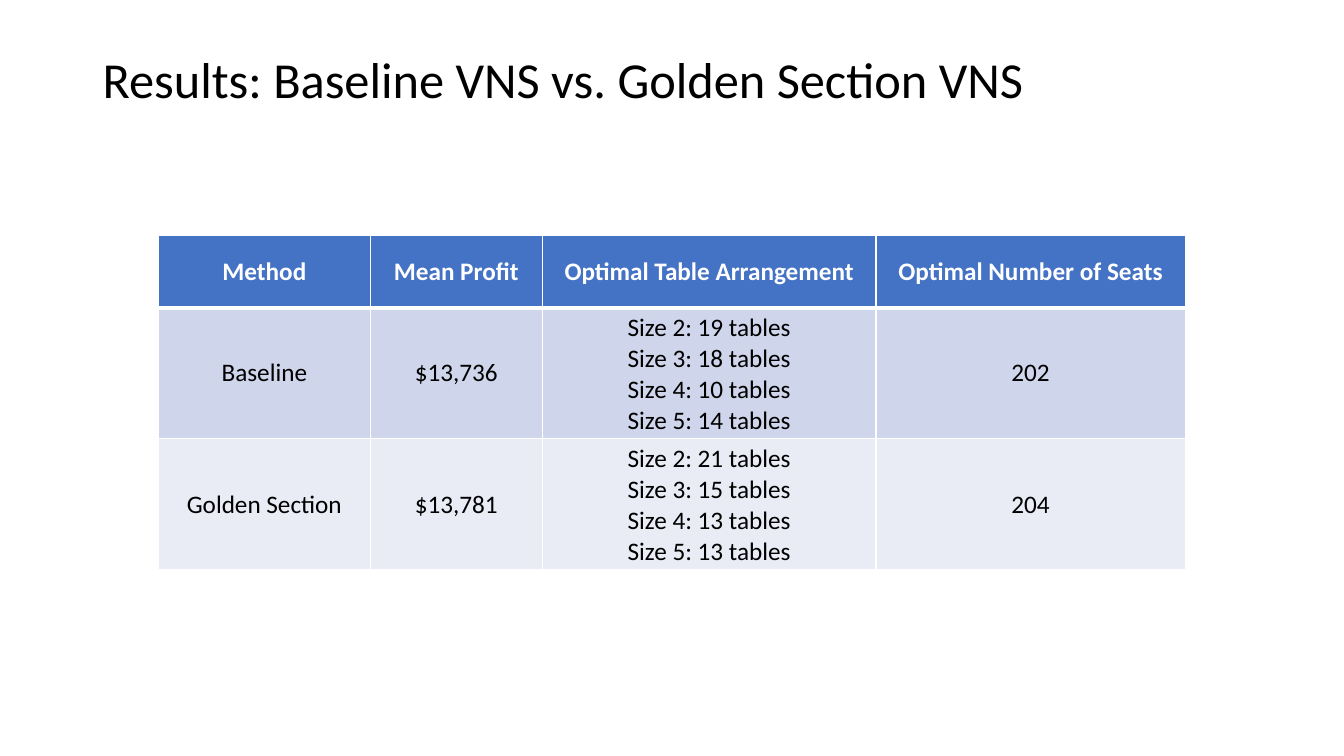
from lxml import etree
from pptx import Presentation
from pptx.dml.color import RGBColor
from pptx.enum.text import MSO_ANCHOR, PP_ALIGN
from pptx.oxml.ns import qn
from pptx.util import Inches, Pt

MIDDLE = MSO_ANCHOR.MIDDLE
CENTER = PP_ALIGN.CENTER
SLIDE_WIDTH, SLIDE_HEIGHT = Inches(13.33), Inches(7.5)
FONT = "Calibri"
BLACK, WHITE, HEADER_BLUE = "000000", "FFFFFF", "4472C4"
BAND_FILLS = ("CFD5EA", "E9EBF5")
COLUMN_WEIGHTS = (2.1, 1.71, 3.31, 3.07)
ROW_WEIGHTS = (0.72, 1.3, 1.3)

RESULTS = (
    ("Method", "Mean Profit", "Optimal Table Arrangement", "Optimal Number of Seats"),
    ("Baseline", "$13,736", (19, 18, 10, 14), "202"),
    ("Golden Section", "$13,781", (21, 15, 13, 13), "204"),
)


def color(hex_code):
    """Turn a hex string into a colour."""
    return RGBColor.from_string(hex_code)


def box_from_shares(left, top, width, height):
    """Turn shares of the slide's size into a box."""
    return (int(left * SLIDE_WIDTH), int(top * SLIDE_HEIGHT),
            int(width * SLIDE_WIDTH), int(height * SLIDE_HEIGHT))


def add_run(paragraph, text, size, hex_code, bold=False):
    """Add one formatted run to a paragraph."""
    run = paragraph.add_run()
    run.text = text
    run.font.name = FONT
    run.font.size = Pt(size)
    run.font.bold = bold
    run.font.color.rgb = color(hex_code)


def add_border(cell, side, width):
    """Draw a white border on one side of a cell."""
    line = etree.SubElement(cell._tc.get_or_add_tcPr(), qn(f"a:ln{side}"), w=str(Pt(width)))
    fill = etree.SubElement(line, qn("a:solidFill"))
    etree.SubElement(fill, qn("a:srgbClr"), val=WHITE)


def fill_cell(cell, content, row):
    """Write, fill and border one cell of the results table."""
    header = row == 0
    lines = [content] if isinstance(content, str) else [
        f"Size {size}: {count} tables" for size, count in enumerate(content, 2)]
    for index, text in enumerate(lines):
        frame = cell.text_frame
        paragraph = frame.add_paragraph() if index else frame.paragraphs[0]
        paragraph.alignment = CENTER
        add_run(paragraph, text, 18, WHITE if header else BLACK, header)
    cell.vertical_anchor = MIDDLE
    widths = {"L": 1, "R": 1, "T": 3 if row == 1 else 1, "B": 3 if header else 1}
    for side, width in widths.items():
        add_border(cell, side, width)
    cell.fill.solid()
    cell.fill.fore_color.rgb = color(HEADER_BLUE if header else BAND_FILLS[row - 1])


def add_title(slide, box):
    """Place the slide title in its box."""
    frame = slide.shapes.add_textbox(*box).text_frame
    frame.word_wrap = True
    frame.vertical_anchor = MIDDLE
    paragraph = frame.paragraphs[0]
    paragraph.line_spacing = 0.9
    add_run(paragraph, "Results: Baseline VNS vs. Golden Section VNS", 36, BLACK)


def add_results_table(slide, box):
    """Place the results table, sharing its box among columns and rows."""
    width, height = box[2:]
    table = slide.shapes.add_table(len(RESULTS), len(COLUMN_WEIGHTS), *box).table
    for column, weight in zip(table.columns, COLUMN_WEIGHTS):
        column.width = int(width * weight / sum(COLUMN_WEIGHTS))
    for row, weight in zip(table.rows, ROW_WEIGHTS):
        row.height = int(height * weight / sum(ROW_WEIGHTS))
    for row, contents in enumerate(RESULTS):
        for column, content in enumerate(contents):
            fill_cell(table.cell(row, column), content, row)


def main():
    """Build the presentation and save it."""
    presentation = Presentation()
    presentation.slide_width, presentation.slide_height = SLIDE_WIDTH, SLIDE_HEIGHT
    slide = presentation.slides.add_slide(presentation.slide_layouts[6])
    add_title(slide, box_from_shares(0.069, 0.053, 0.863, 0.111))
    add_results_table(slide, box_from_shares(0.118, 0.311, 0.764, 0.443))
    presentation.save("out.pptx")


if __name__ == "__main__":
    main()
